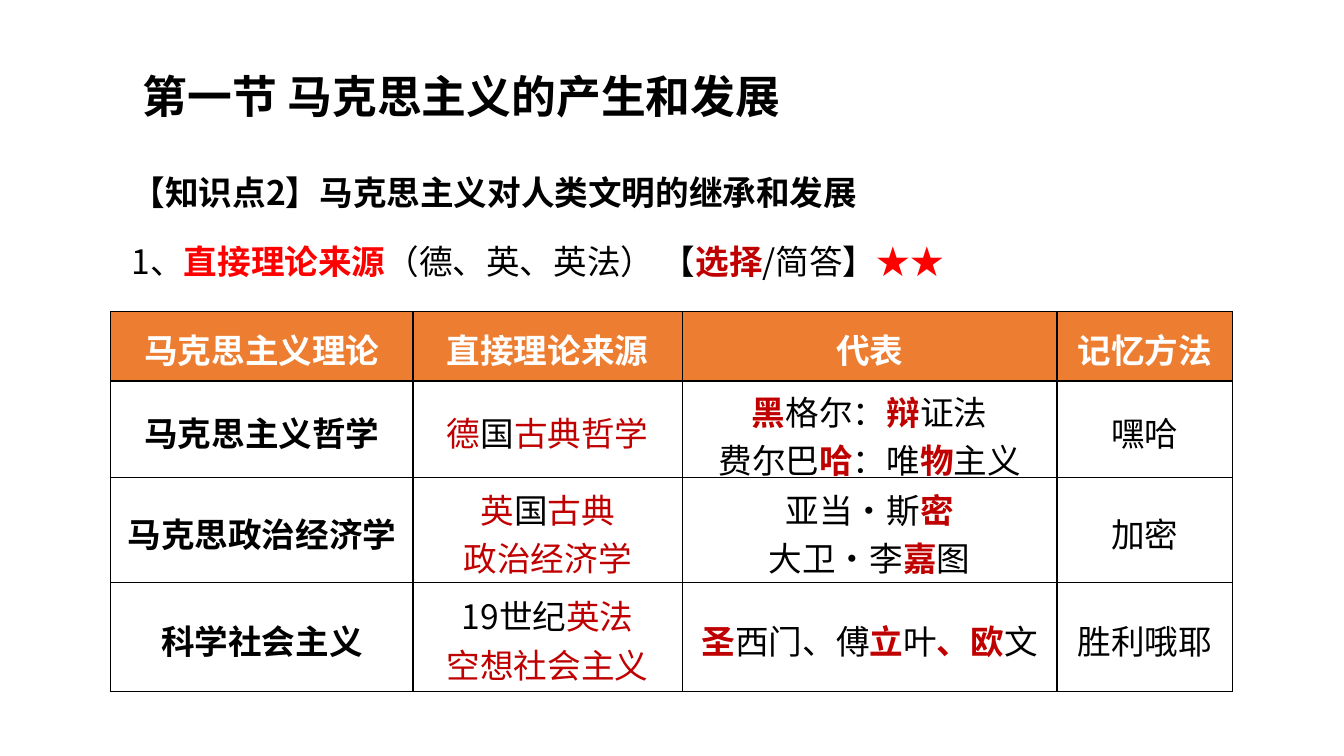
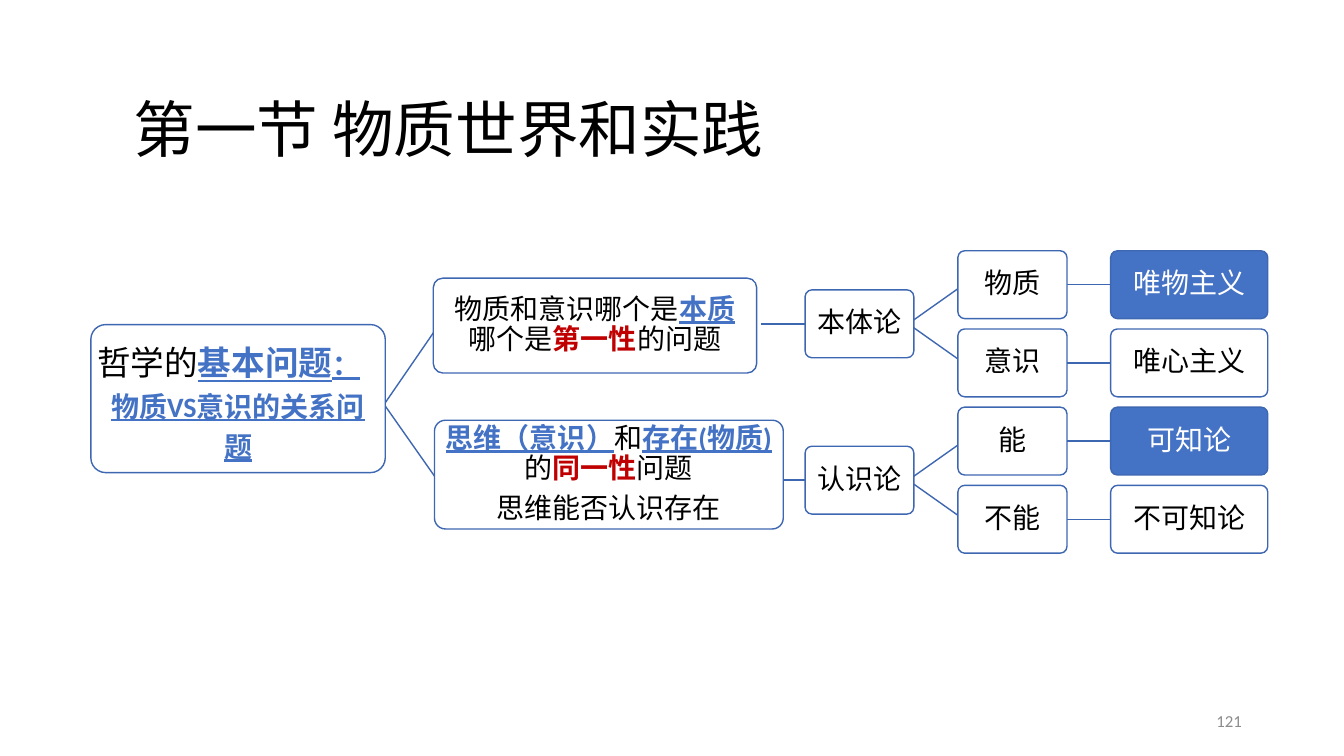
from lxml.etree import SubElement
from pptx import Presentation
from pptx.dml.color import RGBColor
from pptx.enum.shapes import MSO_CONNECTOR, MSO_SHAPE
from pptx.enum.text import MSO_ANCHOR, PP_ALIGN
from pptx.oxml.ns import qn
from pptx.util import Cm, Pt

HUE = {
    "ink": "000000", "white": "FFFFFF", "red": "FF0000", "dark": "C00000",
    "blue": "4472C4", "edge": "3E67B2", "head": "ED7D31", "gray": "8C8C8C",
}
TONE = {
    "plain": ("ink", False, False),
    "bold": ("ink", True, False),
    "white": ("white", False, False),
    "head": ("white", True, False),
    "red": ("red", False, False),
    "alert": ("red", True, False),
    "dark": ("dark", False, False),
    "key": ("dark", True, False),
    "term": ("blue", True, True),
    "gray": ("gray", False, False),
}
NOTO, CALI = "Noto Sans CJK SC", "Calibri"
LEFT, MID, RIGHT = PP_ALIGN.LEFT, PP_ALIGN.CENTER, PP_ALIGN.RIGHT
BREAK = "\n"

TITLE = [[("第一节 马克思主义的产生和发展", "bold")]]
POINT = [[("【知识点2】马克思主义对人类文明的继承和发展", "bold")]]
SOURCE = [[
    ("1、", "plain"), ("直接理论来源", "alert"), ("（德、英、英法） 【", "plain"),
    ("选择", "key"), ("/简答】", "plain"), ("★★", "red"),
]]
COLS = [7.62, 6.78, 9.45, 4.42]
ROWS = [1.75, 2.44, 2.64, 2.74]
HEADS = ["马克思主义理论", "直接理论来源", "代表", "记忆方法"]
BODY = [
    [
        [[("马克思主义哲学", "bold")]],
        [[("德", "dark"), ("国", "plain"), ("古典哲学", "dark")]],
        [
            [("黑", "key"), ("格尔：", "plain"), ("辩", "key"), ("证法", "plain")],
            [("费尔巴", "plain"), ("哈", "key"), ("：唯", "plain"),
             ("物", "key"), ("主义", "plain")],
        ],
        [[("嘿哈", "plain")]],
    ],
    [
        [[("马克思政治经济学", "bold")]],
        [[("英", "dark"), ("国", "plain"), ("古典", "dark")],
         [("政治经济学", "dark")]],
        [[("亚当·斯", "plain"), ("密", "key")],
         [("大卫·李", "plain"), ("嘉", "key"), ("图", "plain")]],
        [[("加密", "plain")]],
    ],
    [
        [[("科学社会主义", "bold")]],
        [[("19世纪", "plain"), ("英法", "dark")], [("空想社会主义", "dark")]],
        [[("圣", "key"), ("西门、傅", "plain"), ("立", "key"), ("叶", "plain"),
          ("、欧", "key"), ("文", "plain")]],
        [[("胜利哦耶", "plain")]],
    ],
]

TOPIC = [[("第一节 物质世界和实践", "plain")]]
PAGE = [[("121", "gray")]]
ROOT = [
    [("哲学的", "plain", 24, NOTO), ("基本问题", "term", 24, NOTO), ("：\t", "term")],
    [("物质VS意识的关系问题", "term")],
]
ASKS = [
    ((10.92, 7.01, 8.15, 2.39), [[
        ("物质和意识哪个是", "plain"), ("本质", "term"), (BREAK, "plain"),
        ("哪个是", "plain", 20, NOTO), ("第一性", "key", 20, NOTO),
        ("的问题", "plain", 20, NOTO),
    ]]),
    ((10.95, 10.59, 8.79, 2.74), [
        [("思维（意识）", "term"), ("和", "plain"), ("存在(物质)", "term"),
         ("的", "plain"), ("同一性", "key", 20, NOTO), ("问题", "plain")],
        [("思维能否认识存在", "plain", 20, NOTO)],
    ]),
]
FORKS = [
    ("本体论", 19.18, [("物质", "唯物主义"), ("意识", "唯心主义")]),
    ("认识论", 19.74, [("能", "可知论"), ("不能", "不可知论")]),
]
TOP, STEP, HIGH = 6.32, 1.97, 1.71
VIEW, LEAF, CREED = (20.29, 2.74), (24.14, 2.75), (27.99, 3.96)
HUB = (9.68, 10.19)
AIMS = [8.2, 12.14]
SHIFT = 0.1


def tint(name):
    return RGBColor.from_string(HUE[name])


def paint(part, name):
    part.fill.solid()
    part.fill.fore_color.rgb = tint(name)


def put(para, text, tone, size, face):
    if text == BREAK:
        para.add_line_break()
        return
    run = para.add_run()
    run.text = text
    font = run.font
    hue, font.bold, line = TONE[tone]
    if line:
        font.underline = True
    font.size, font.name = Pt(size), face
    font.color.rgb = tint(hue)
    SubElement(run._r.rPr, qn("a:ea"), typeface=face)


def write(frame, paras, size, face, align=LEFT, lead=None, after=None):
    for i, runs in enumerate(paras):
        para = frame.paragraphs[0] if i == 0 else frame.add_paragraph()
        para.alignment = align
        if lead:
            para.line_spacing = lead
        if after:
            para.space_after = Pt(after)
        for text, tone, *rest in runs:
            put(para, text, tone, *(rest or (size, face)))


def label(slide, area, paras, size, face, wrap=True, anchor=MSO_ANCHOR.MIDDLE, **kw):
    frame = slide.shapes.add_textbox(*map(Cm, area)).text_frame
    frame.word_wrap, frame.vertical_anchor = wrap, anchor
    write(frame, paras, size, face, **kw)


def node(slide, area, paras, fill="white", lead=0.9, after=7):
    box = slide.shapes.add_shape(MSO_SHAPE.ROUNDED_RECTANGLE, *map(Cm, area))
    box.adjustments[0] = 0.1
    box.shadow.inherit = False
    paint(box, fill)
    box.line.color.rgb, box.line.width = tint("edge"), Pt(1)
    frame = box.text_frame
    frame.word_wrap, frame.vertical_anchor = True, MSO_ANCHOR.MIDDLE
    frame.margin_left = frame.margin_right = Cm(0.05)
    frame.margin_top = frame.margin_bottom = Cm(0.05)
    write(frame, paras, 20, CALI, MID, lead, after)
    return frame


def link(slide, *ends):
    wire = slide.shapes.add_connector(MSO_CONNECTOR.STRAIGHT, *map(Cm, ends))
    wire.line.color.rgb, wire.line.width = tint("edge"), Pt(1)
    SubElement(wire._element.spPr, qn("a:effectLst"))


def frame_cell(cell):
    prop = cell._tc.get_or_add_tcPr()
    for side in ("lnL", "lnR", "lnT", "lnB"):
        line = SubElement(prop, qn("a:" + side), w=str(Pt(1)))
        fill = SubElement(line, qn("a:solidFill"))
        SubElement(fill, qn("a:srgbClr"), val=HUE["ink"])


def grid(slide):
    area = (2.79, 7.85, sum(COLS), sum(ROWS))
    table = slide.shapes.add_table(len(ROWS), len(COLS), *map(Cm, area)).table
    for col, wide in zip(table.columns, COLS):
        col.width = Cm(wide)
    for row, high in zip(table.rows, ROWS):
        row.height = Cm(high)
    data = [[[[(head, "head")]] for head in HEADS]] + BODY
    for r, row in enumerate(data):
        for c, paras in enumerate(row):
            cell = table.cell(r, c)
            frame_cell(cell)
            paint(cell, "white" if r else "head")
            cell.vertical_anchor = MSO_ANCHOR.MIDDLE
            cell.margin_top, cell.margin_bottom = Cm(0.13), 0
            write(cell.text_frame, paras, 24, NOTO, MID)


def tree(slide):
    for aim in AIMS:
        link(slide, *HUB, 11.05, aim)
    frame = node(slide, (2.29, 8.18, 7.42, 3.73), ROOT, lead=1.2, after=None)
    first = frame.paragraphs[0]
    first.alignment = LEFT
    tabs = SubElement(first._p.get_or_add_pPr(), qn("a:tabLst"))
    SubElement(tabs, qn("a:tab"), pos=str(Cm(7)), algn="l")
    for area, paras in ASKS:
        node(slide, area, paras)
    for f, (view, start, pairs) in enumerate(FORKS):
        top = TOP + (2 * f + 0.5) * STEP
        mid = top + HIGH / 2
        link(slide, start, mid, VIEW[0], mid)
        node(slide, (VIEW[0], top, VIEW[1], HIGH), [[(view, "plain")]])
        for i, (leaf, creed) in enumerate(pairs):
            high = TOP + (2 * f + i) * STEP
            aim = high + HIGH / 2
            lean = SHIFT if i else -SHIFT
            link(slide, sum(VIEW), mid + lean, LEAF[0], aim - lean)
            link(slide, sum(LEAF), aim, CREED[0], aim)
            node(slide, (LEAF[0], high, LEAF[1], HIGH), [[(leaf, "plain")]])
            fill, tone = ("white", "plain") if i else ("blue", "white")
            node(slide, (CREED[0], high, CREED[1], HIGH), [[(creed, tone)]], fill)


def main():
    deck = Presentation()
    deck.slide_width, deck.slide_height = Cm(33.87), Cm(19.05)
    one, two = [deck.slides.add_slide(deck.slide_layouts[6]) for _ in range(2)]
    label(one, (3.35, 1.6, 16.97, 1.63), TITLE, 32, NOTO, wrap=False,
          anchor=MSO_ANCHOR.TOP)
    label(one, (3.07, 3.78, 18.92, 1.63), POINT, 24, NOTO, lead=1.5)
    label(one, (3.07, 5.94, 23.6, 2.31), SOURCE, 24, NOTO, anchor=MSO_ANCHOR.TOP)
    grid(one)
    label(two, (3.12, 1.5, 29.21, 3.68), TOPIC, 44, CALI, lead=0.9)
    label(two, (23.93, 17.65, 7.62, 1.02), PAGE, 12, CALI, align=RIGHT)
    tree(two)
    deck.save("out.pptx")


if __name__ == "__main__":
    main()
